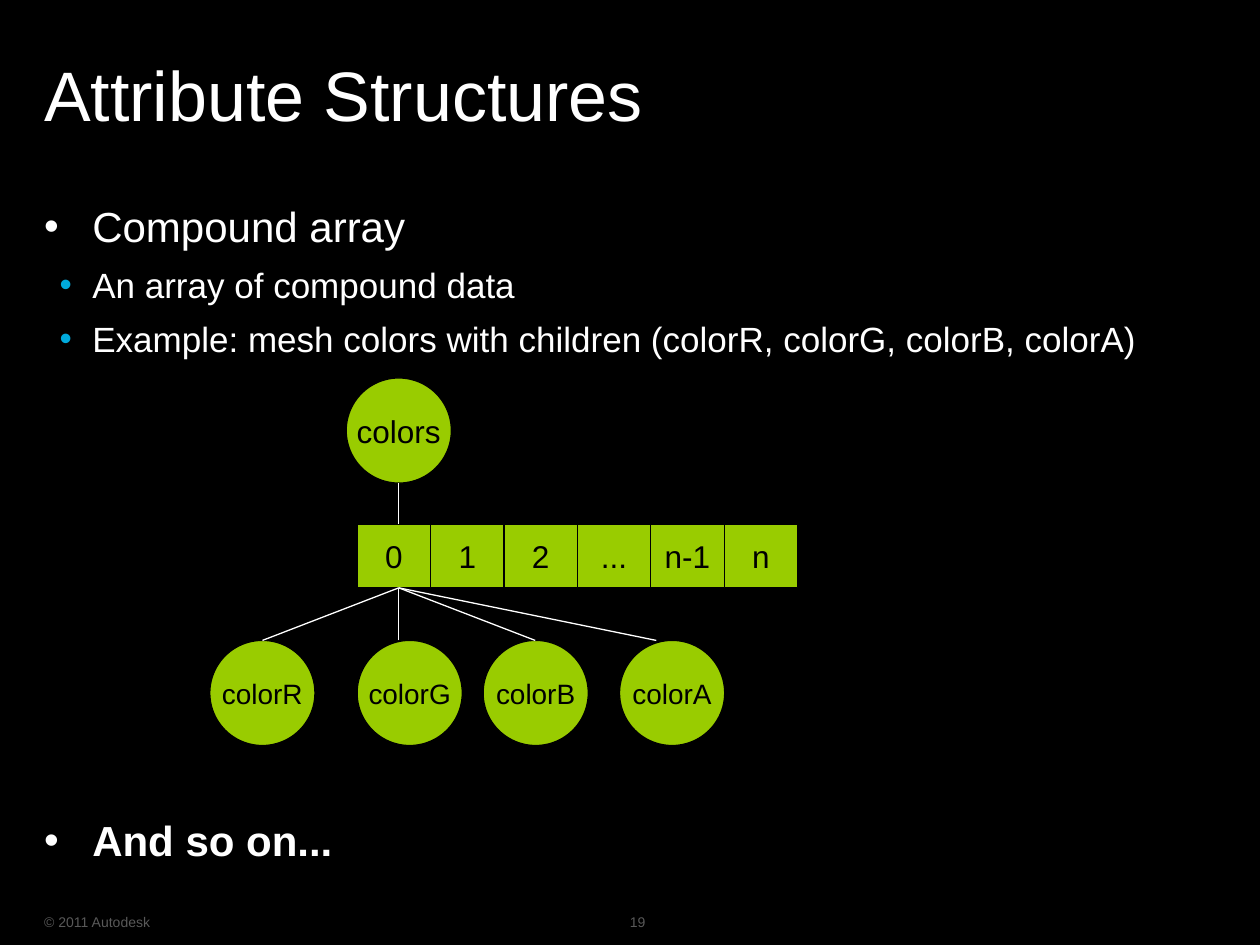
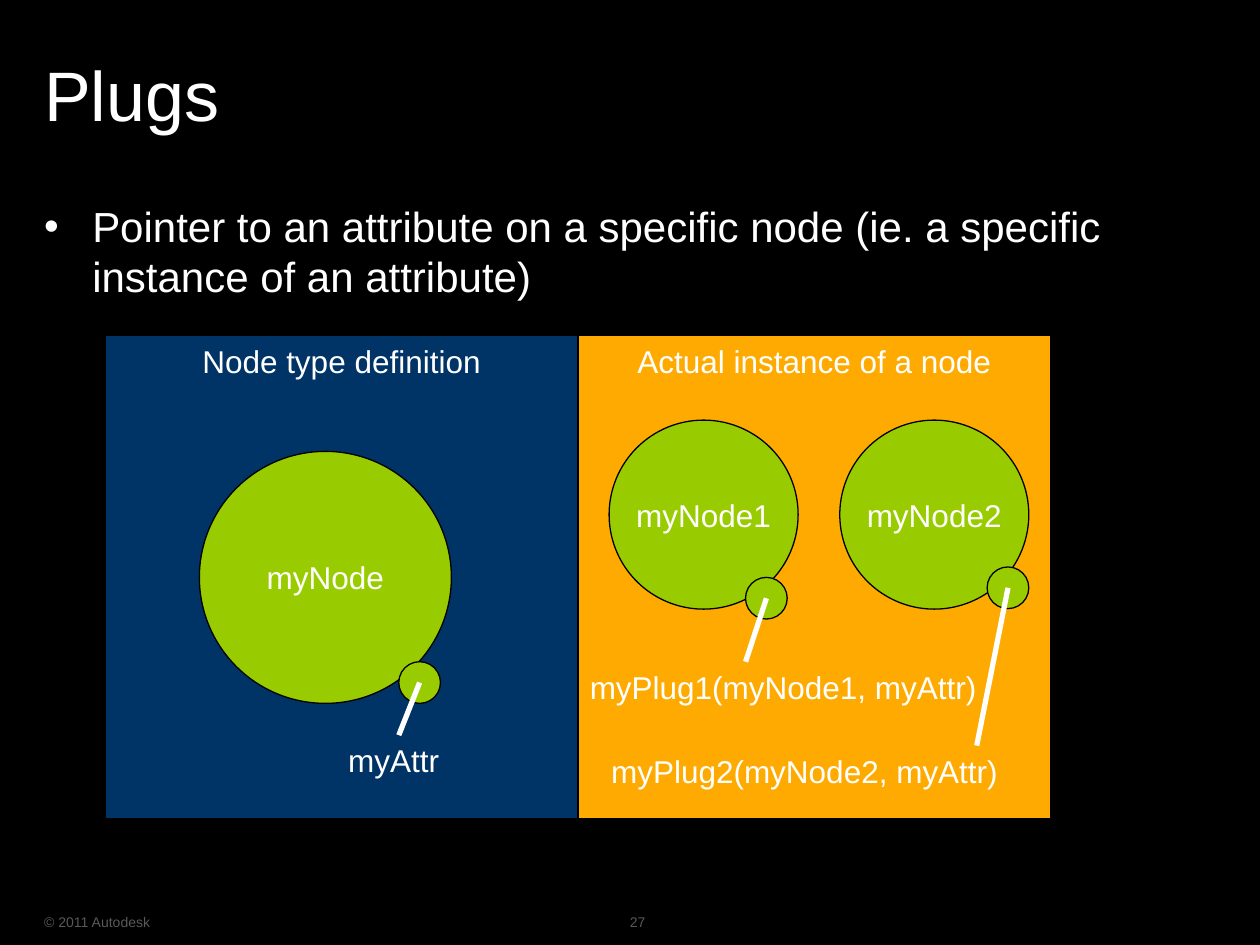
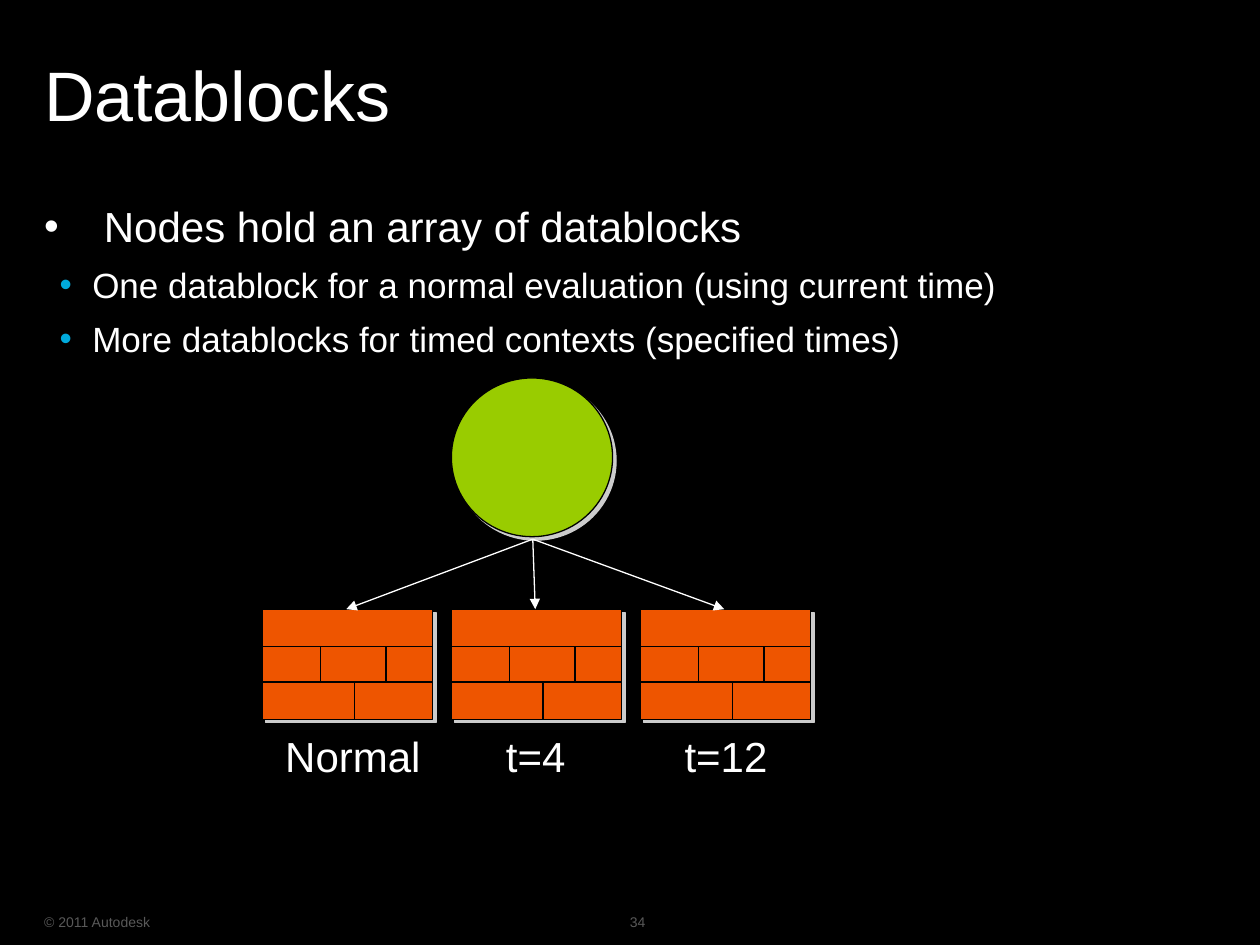
"""Build three slides about attributes, plugs and datablocks."""
from dataclasses import dataclass

from lxml import etree
from pptx import Presentation
from pptx import util as u
from pptx.dml.color import RGBColor
from pptx.enum import shapes, text
from pptx.oxml import ns

Point = tuple[float, float]
OVAL = shapes.MSO_SHAPE.OVAL
RECT = shapes.MSO_SHAPE.RECTANGLE
MIDDLE = text.MSO_ANCHOR.MIDDLE
TOP = text.MSO_ANCHOR.TOP


@dataclass(frozen=True)
class Theme:
    font: str = "Arial"
    black: str = "000000"
    white: str = "FFFFFF"
    footer: str = "595959"
    accent: str = "00AADD"
    green: str = "99CC00"
    navy: str = "003366"
    amber: str = "FFAA00"
    brick: str = "EE5500"
    shadow: str = "CCCCCC"
    title_pt: int = 40
    body_pt: int = 24
    sub_pt: int = 20
    label_pt: int = 18
    small_pt: int = 16
    footer_pt: int = 8
    hairline: float = 0.75
    pointer: float = 3


THEME = Theme()


@dataclass(frozen=True)
class Box:
    left: float
    top: float
    width: float
    height: float

    def lengths(self) -> list[u.Length]:
        return [u.Cm(v) for v in (self.left, self.top, self.width, self.height)]


@dataclass(frozen=True)
class Bullet:
    text: str
    level: int = 0
    bold: bool = False
    gap: float | None = None


@dataclass(frozen=True)
class Level:
    size: int
    color: str
    indent: float
    space: float


@dataclass(frozen=True)
class PluggedNode:
    name: str
    box: Box
    port: Point
    label: str
    label_box: Box
    pointer_x: float


LEVELS = (
    Level(THEME.body_pt, THEME.white, -0.97, 4.1),
    Level(THEME.sub_pt, THEME.accent, -0.66, 3.4),
)
TITLE_BOX = Box(0.89, 0.38, 22.81, 3.18)
BODY_BOX = Box(0.89, 3.94, 22.81, 14.22)
COPYRIGHT_BOX = Box(0.89, 18.26, 6.15, 0.64)
NUMBER_BOX = Box(12.7, 18.26, 0.84, 0.64)


def rgb(color: str) -> RGBColor:
    return RGBColor.from_string(color)


def child(parent, tag: str, **attrs: str):
    el = etree.SubElement(parent, ns.qn(tag))
    for key, value in attrs.items():
        el.set(key, value)
    return el


def style(p, size: float, color: str, bold: bool = False) -> None:
    for r in p.runs:
        r.font.name = THEME.font
        r.font.size = u.Pt(size)
        r.font.bold = bold
        r.font.color.rgb = rgb(color)


def set_frame(tf, anchor, wrap: bool = True, inset: bool = True) -> None:
    tf.word_wrap = wrap
    tf.auto_size = text.MSO_AUTO_SIZE.NONE
    tf.vertical_anchor = anchor
    if not inset:
        tf.margin_left = tf.margin_right = tf.margin_top = tf.margin_bottom = 0


def place(sp, box: Box) -> None:
    sp.left, sp.top, sp.width, sp.height = box.lengths()


def add_label(s, box: Box, words: str, size: float, color: str = THEME.white,
              anchor=TOP, wrap: bool = True, inset: bool = True) -> None:
    tf = s.shapes.add_textbox(*box.lengths()).text_frame
    set_frame(tf, anchor, wrap, inset)
    tf.text = words
    style(tf.paragraphs[0], size, color)


def add_shape(s, kind, box: Box, fill: str, words: str = "",
              size: float = THEME.label_pt, color: str = THEME.black,
              anchor=MIDDLE, shadow: bool = False) -> None:
    sp = s.shapes.add_shape(kind, *box.lengths())
    sp.shadow.inherit = False
    sp.fill.solid()
    sp.fill.fore_color.rgb = rgb(fill)
    sp.line.color.rgb = rgb(THEME.black)
    sp.line.width = u.Pt(THEME.hairline)
    if shadow:
        effects = sp._element.spPr.find(ns.qn("a:effectLst"))
        outer = child(effects, "a:outerShdw", dist=str(u.Pt(2.8)),
                      dir="2700000", algn="ctr", rotWithShape="0")
        child(outer, "a:srgbClr", val=THEME.shadow)
    if words:
        tf = sp.text_frame
        set_frame(tf, anchor, wrap=False)
        tf.text = words
        tf.paragraphs[0].alignment = text.PP_ALIGN.CENTER
        style(tf.paragraphs[0], size, color)


def add_line(s, start: Point, end: Point, color: str = THEME.white,
             width: float = THEME.hairline, arrow: bool = False) -> None:
    sp = s.shapes.add_connector(shapes.MSO_CONNECTOR.STRAIGHT,
                                *(u.Cm(v) for v in (*start, *end)))
    sp.line.color.rgb = rgb(color)
    sp.line.width = u.Pt(width)
    if arrow:
        child(sp.line._get_or_add_ln(), "a:tailEnd", type="triangle")
    child(sp._element.spPr, "a:effectLst")


def fill_body(sp, bullets: list[Bullet]) -> None:
    place(sp, BODY_BOX)
    tf = sp.text_frame
    set_frame(tf, TOP, inset=False)
    tf.margin_top = u.Cm(0.1)
    for i, bullet in enumerate(bullets):
        p = tf.add_paragraph() if i else tf.paragraphs[0]
        level = LEVELS[bullet.level]
        p.text = bullet.text
        p.level = bullet.level
        p.alignment = text.PP_ALIGN.LEFT
        before = level.space if bullet.gap is None else bullet.gap
        p.space_before = u.Pt(before if i else 0)
        p.space_after = u.Pt(level.space)
        pPr = p._p.get_or_add_pPr()
        pPr.set("marL", str(u.Cm(0.97)))
        pPr.set("indent", str(u.Cm(level.indent)))
        child(child(pPr, "a:buClr"), "a:srgbClr", val=level.color)
        child(pPr, "a:buFont", typeface=THEME.font)
        child(pPr, "a:buChar", char="•")
        style(p, level.size, THEME.white, bullet.bold)


def add_slide(prs, title: str, number: int, bullets: list[Bullet]):
    s = prs.slides.add_slide(prs.slide_layouts[1])
    place(s.shapes.title, TITLE_BOX)
    tf = s.shapes.title.text_frame
    set_frame(tf, MIDDLE, inset=False)
    tf.text = title
    p = tf.paragraphs[0]
    p.alignment = text.PP_ALIGN.LEFT
    p.line_spacing = 0.95
    style(p, THEME.title_pt, THEME.white)
    fill_body(s.placeholders[1], bullets)
    for box, words in ((COPYRIGHT_BOX, "© 2011 Autodesk"),
                       (NUMBER_BOX, str(number))):
        add_label(s, box, words, THEME.footer_pt, THEME.footer, MIDDLE,
                  inset=False)
    return s


def attribute_slide(prs) -> None:
    s = add_slide(prs, "Attribute Structures", 19, [
        Bullet("Compound array"),
        Bullet("An array of compound data", 1),
        Bullet("Example: mesh colors with children "
               "(colorR, colorG, colorB, colorA)", 1),
        Bullet("And so on...", bold=True, gap=256.5),
    ])
    size, stem_x = 2.12, 8.04
    cell_w, cell_h, cells_top = 1.48, 1.27, 10.58
    child_top = 12.91
    add_shape(s, OVAL, Box(6.98, 7.62, size, size), THEME.green, "colors")
    add_line(s, (stem_x, 9.74), (stem_x, cells_top))
    for i, index in enumerate(("0", "1", "2", "...", "n-1", "n")):
        add_shape(s, RECT, Box(7.2 + i * cell_w, cells_top, cell_w, cell_h),
                  THEME.green, index)
    for name, left, end_x in (("colorR", 4.23, 5.29), ("colorG", 7.2, 8.04),
                              ("colorB", 9.74, 10.79), ("colorA", 12.49, 13.23)):
        add_shape(s, OVAL, Box(left, child_top, size, size), THEME.green,
                  name, THEME.small_pt)
        add_line(s, (end_x, child_top), (stem_x, cells_top + cell_h))


def plug_slide(prs) -> None:
    s = add_slide(prs, "Plugs", 27, [
        Bullet("Pointer to an attribute on a specific node "
               "(ie. a specific instance of an attribute)"),
    ])
    panel_w, port = 9.53, 0.84
    panels = (("Node type definition", THEME.navy),
              ("Actual instance of a node", THEME.amber))
    for i, (heading, color) in enumerate(panels):
        add_shape(s, RECT, Box(2.12 + i * panel_w, 6.77, panel_w, 9.74), color,
                  heading, color=THEME.white, anchor=TOP)
    nodes = (
        PluggedNode("myNode", Box(4.02, 9.1, 5.08, 5.08), (8.04, 13.34),
                    "myAttr", Box(6.77, 14.82, 2.54, 1.02), 8.04),
        PluggedNode("myNode1", Box(12.28, 8.47, 3.81, 3.81), (15.03, 11.64),
                    "myPlug1(myNode1, myAttr)", Box(11.64, 13.34, 8.68, 1.02),
                    15.03),
        PluggedNode("myNode2", Box(16.93, 8.47, 3.81, 3.81), (19.9, 11.43),
                    "myPlug2(myNode2, myAttr)", Box(12.07, 15.03, 8.68, 1.02),
                    19.69),
    )
    for node in nodes:
        x, y = node.port
        add_shape(s, OVAL, node.box, THEME.green, node.name, color=THEME.white)
        add_shape(s, OVAL, Box(x, y, port, port), THEME.green)
        add_line(s, (node.pointer_x, node.label_box.top),
                 (x + port / 2, y + port / 2), width=THEME.pointer)
        add_label(s, node.label_box, node.label, THEME.label_pt)


def add_datablock(s, box: Box) -> None:
    x, y = box.left, box.top
    add_shape(s, RECT, box, THEME.brick, shadow=True)
    row_1, row_2 = 0.75, 1.47
    joints = ((0, row_1, box.width, row_1), (0, row_2, box.width, row_2),
              (1.17, row_1, 1.17, row_2), (2.49, row_1, 2.49, row_2),
              (1.85, row_2, 1.85, box.height))
    for x1, y1, x2, y2 in joints:
        add_line(s, (x + x1, y + y1), (x + x2, y + y2), THEME.black)


def datablock_slide(prs) -> None:
    s = add_slide(prs, "Datablocks", 34, [
        Bullet(" Nodes hold an array of datablocks"),
        Bullet("One datablock for a normal evaluation (using current time)", 1),
        Bullet("More datablocks for timed contexts (specified times)", 1),
    ])
    pitch, block_top = 3.81, 12.28
    add_shape(s, OVAL, Box(9.1, 7.62, 3.25, 3.2), THEME.green, shadow=True)
    labels = (("Normal", 5.5, 3.25), ("t=4", 9.95, 1.7), ("t=12", 13.55, 2.18))
    for i, (name, left, width) in enumerate(labels):
        add_datablock(s, Box(5.29 + i * pitch, block_top, 3.43, 2.22))
        add_line(s, (10.74, 10.87), (6.98 + i * pitch, block_top), arrow=True)
        add_label(s, Box(left, 14.61, width, 1.27), name, THEME.body_pt,
                  wrap=False)


def main() -> None:
    prs = Presentation()
    prs.slide_width, prs.slide_height = u.Cm(25.4), u.Cm(19.05)
    fill = prs.slide_master.background.fill
    fill.solid()
    fill.fore_color.rgb = rgb(THEME.black)
    attribute_slide(prs)
    plug_slide(prs)
    datablock_slide(prs)
    prs.save("out.pptx")


if __name__ == "__main__":
    main()
